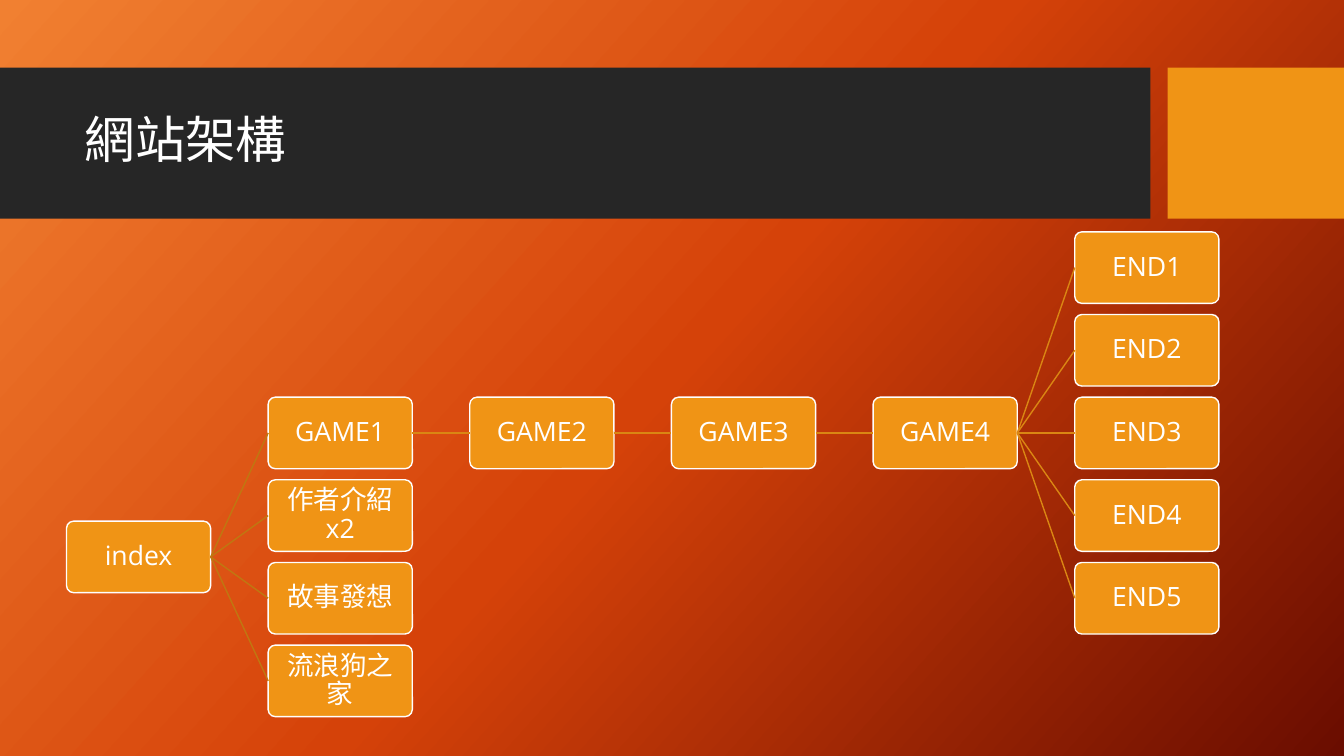
import copy
import pptx
import pptx.dml.color
import pptx.enum.shapes
import pptx.enum.text
import pptx.oxml
import pptx.oxml.ns
import pptx.util

Inches = pptx.util.Inches
Pt = pptx.util.Pt
Shapes = pptx.enum.shapes.MSO_SHAPE
Align = pptx.enum.text.PP_ALIGN


def colour(value):
    return pptx.dml.color.RGBColor.from_string(value)


def write(frame, words, size, font, align):
    frame.word_wrap = True
    frame.vertical_anchor = pptx.enum.text.MSO_ANCHOR.MIDDLE
    paragraph = frame.paragraphs[0]
    paragraph.alignment = align
    paragraph.line_spacing = 0.9
    run = paragraph.add_run()
    run.text = words
    run.font.size = Pt(size)
    run.font.name = font
    run.font.color.rgb = colour("FFFFFF")
    east_asian = pptx.oxml.parse_xml(
        f'<a:ea {pptx.oxml.ns.nsdecls("a")} typeface="Noto Sans CJK SC"/>')
    run.font._element.append(east_asian)


deck = pptx.Presentation()
deck.slide_width = Inches(13.33)
deck.slide_height = Inches(7.5)
slide = deck.slides.add_slide(deck.slide_layouts[5])

backdrop = slide.background.fill
backdrop.gradient()
backdrop.gradient_angle = 318
stop_list = slide.element.xpath(".//a:gsLst")[0]
stop_list.append(copy.deepcopy(stop_list[0]))
for stop, position, shade in zip(backdrop.gradient_stops, (0, 0.5, 1),
                                 ("F18031", "D54209", "6A0D00")):
    stop.position = position
    stop.color.rgb = colour(shade)

for left, width, shade in ((0, 11.41, "262626"), (11.58, 1.75, "F09415")):
    band = slide.shapes.add_shape(Shapes.RECTANGLE, Inches(left), Inches(0.67),
                                  Inches(width), Inches(1.5))
    band.shadow.inherit = False
    band.fill.solid()
    band.fill.fore_color.rgb = colour(shade)
    band.line.fill.background()

heading = slide.shapes.title
slide.shapes.element.append(heading.element)
heading.left, heading.top = Inches(0.74), Inches(0.82)
heading.width, heading.height = Inches(10.51), Inches(1.18)
write(heading.text_frame, "網站架構", 36, "Noto Sans CJK SC", Align.LEFT)

first_column, column_step = 0.66, 2.0
first_row, row_step = 2.3, 0.82
pages = [("index", 0, 3.5, None)]
pages += [(name, 1, 2 + row, "index") for row, name in
          enumerate(("GAME1", "作者介紹x2", "故事發想", "流浪狗之家"))]
pages += [(f"GAME{n}", n, 2, f"GAME{n - 1}") for n in (2, 3, 4)]
pages += [(f"END{n}", 5, n - 1, "GAME4") for n in range(1, 6)]

boxes = {}
for name, column, row, parent in pages:
    box = slide.shapes.add_shape(
        Shapes.ROUNDED_RECTANGLE,
        Inches(first_column + column * column_step),
        Inches(first_row + row * row_step), Inches(1.43), Inches(0.71))
    box.adjustments[0] = 0.1
    box.shadow.inherit = False
    box.fill.solid()
    box.fill.fore_color.rgb = colour("F09415")
    box.line.color.rgb = colour("FFFFFF")
    box.line.width = Pt(1)
    label = box.text_frame
    label.margin_left = label.margin_right = Inches(0.05)
    label.margin_top = label.margin_bottom = Inches(0.03)
    write(label, name, 19, "Open Sans", Align.CENTER)
    boxes[name] = box

    if parent:
        branch = slide.shapes.add_connector(
            pptx.enum.shapes.MSO_CONNECTOR.STRAIGHT, 0, 0, 0, 0)
        branch.begin_connect(boxes[parent], 3)
        branch.end_connect(box, 1)
        branch.line.color.rgb = colour("C07711" if parent == "index" else "DA8613")
        branch.line.width = Pt(1)
        branch.element.spPr.append(pptx.oxml.parse_xml(
            f'<a:effectLst {pptx.oxml.ns.nsdecls("a")}/>'))

deck.save("out.pptx")
